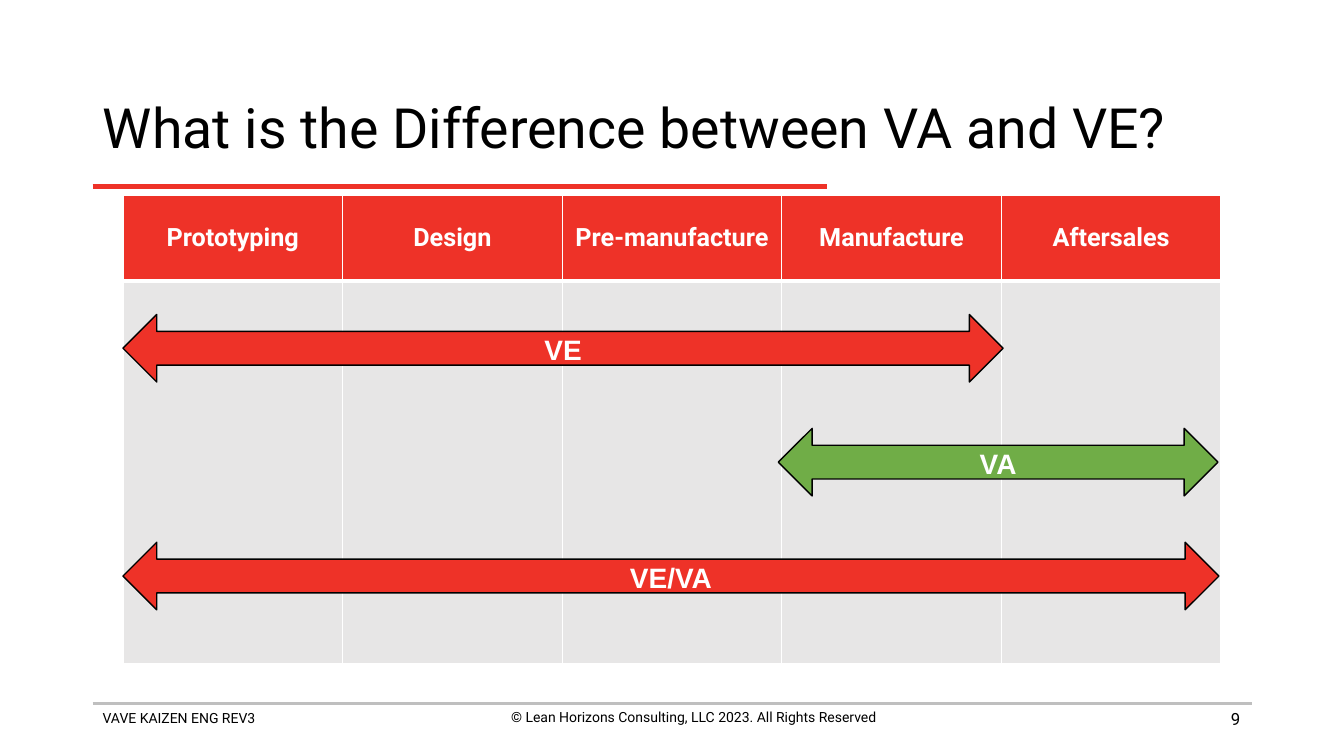
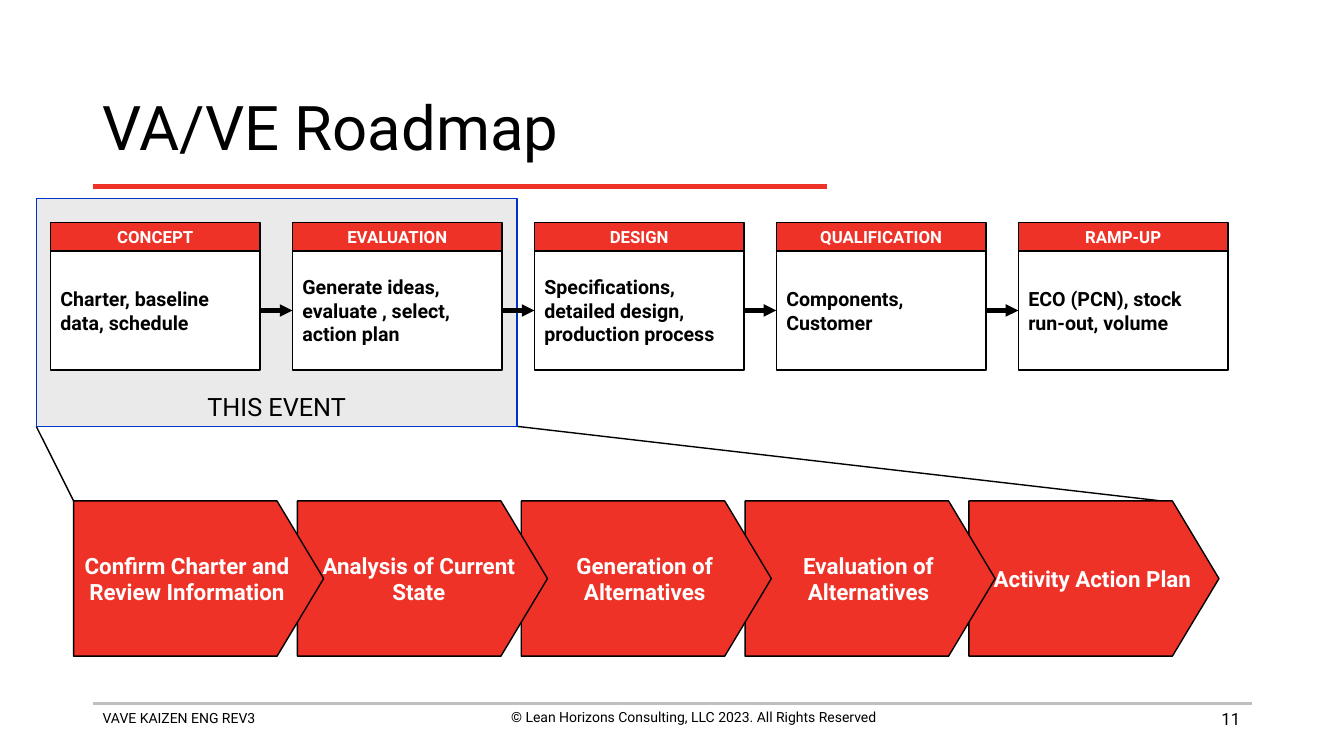
from dataclasses import dataclass
from typing import NamedTuple

from lxml import etree
from pptx import Presentation
from pptx.dml.color import RGBColor
from pptx.enum import shapes, text
from pptx.oxml import ns
from pptx.util import Inches, Pt

SHAPE = shapes.MSO_SHAPE
ALIGN = text.PP_ALIGN
ANCHOR = text.MSO_ANCHOR


@dataclass(frozen=True)
class Theme:
    red: str = "EE3228"
    green: str = "70AD47"
    blue: str = "0033CC"
    black: str = "000000"
    white: str = "FFFFFF"
    rule: str = "BFBFBF"
    panel: str = "EAEAEA"
    cell: str = "E7E6E6"
    font: str = "Roboto"
    arrow_font: str = "Arial"
    title: float = 44
    long_title: float = 39.6
    arrow: float = 20
    heading: float = 18
    step: float = 16
    body: float = 14
    small: float = 12
    footer: float = 10


T = Theme()


class Box(NamedTuple):
    left: float
    top: float
    width: float
    height: float

    def lengths(self) -> list:
        return [Inches(v) for v in self]


class Insets(NamedTuple):
    left: float = 0.1
    top: float = 0.05
    right: float = 0.1
    bottom: float = 0.05


class Style(NamedTuple):
    size: float
    color: str = T.black
    bold: bool = False
    align: ALIGN = ALIGN.LEFT
    anchor: ANCHOR = ANCHOR.MIDDLE
    font: str = T.font
    wrap: bool = True
    insets: Insets = Insets()
    spacing: float = 1.0


class Span(NamedTuple):
    label: str
    left: float
    top: float
    width: float
    color: str


class Phase(NamedTuple):
    name: str
    detail: str


class Step(NamedTuple):
    label: str
    insets: Insets


# Basic drawing
def rgb(color: str) -> RGBColor:
    return RGBColor.from_string(color)


def write(tf, words: str, style: Style) -> None:
    tf.text = words
    tf.word_wrap = style.wrap
    tf.auto_size = text.MSO_AUTO_SIZE.NONE
    tf.vertical_anchor = style.anchor
    (tf.margin_left, tf.margin_top,
     tf.margin_right, tf.margin_bottom) = [Inches(v) for v in style.insets]
    p = tf.paragraphs[0]
    p.alignment = style.align
    p.line_spacing = style.spacing
    font = p.runs[0].font
    font.name, font.size, font.bold = style.font, Pt(style.size), style.bold
    font.color.rgb = rgb(style.color)


def add_text(s, box: Box, words: str, style: Style) -> None:
    write(s.shapes.add_textbox(*box.lengths()).text_frame, words, style)


def add_block(s, kind: SHAPE, box: Box, fill: str, words: str, style: Style,
              line: str = T.black):
    sp = s.shapes.add_shape(kind, *box.lengths())
    sp.shadow.inherit = False
    sp.fill.solid()
    sp.fill.fore_color.rgb = rgb(fill)
    sp.line.color.rgb = rgb(line)
    sp.line.width = Pt(1)
    write(sp.text_frame, words, style)
    return sp


def add_line(s, start: tuple, end: tuple, color: str = T.black,
             width: float = 1, arrow: bool = False):
    line = s.shapes.add_connector(shapes.MSO_CONNECTOR.STRAIGHT,
                                  *[Inches(v) for v in (*start, *end)])
    line.line.color.rgb = rgb(color)
    line.line.width = Pt(width)
    spPr = line._element.spPr
    if arrow:
        etree.SubElement(spPr.find(ns.qn("a:ln")), ns.qn("a:tailEnd"),
                         type="triangle")
    etree.SubElement(spPr, ns.qn("a:effectLst"))
    return line


def set_borders(cell, **widths: float) -> None:
    tcPr = cell._tc.get_or_add_tcPr()
    for side in "LRTB":
        ln = etree.SubElement(tcPr, ns.qn(f"a:ln{side}"),
                              w=str(Pt(widths.get(side, 1))))
        fill = etree.SubElement(ln, ns.qn("a:solidFill"))
        etree.SubElement(fill, ns.qn("a:srgbClr"), val=T.white)


# Shared frame: title, rules and footer
def add_framed_slide(prs, title: str, size: float, number: int):
    s = prs.slides.add_slide(prs.slide_layouts[5])
    sp = s.shapes.title
    sp.left, sp.top, sp.width, sp.height = Box(0.92, 0.74, 11.5, 1.1).lengths()
    write(sp.text_frame, title, Style(size, spacing=0.9))
    add_line(s, (0.92, 1.85), (8.2, 1.85), T.red, 3)
    add_line(s, (0.92, 6.98), (12.42, 6.98), T.rule, 2)
    footer = Style(T.footer, anchor=ANCHOR.TOP)
    add_text(s, Box(0.92, 6.99, 4.56, 0.27), "VAVE KAIZEN ENG REV3", footer)
    add_text(s, Box(4.6, 6.98, 4.56, 0.44),
             "© Lean Horizons Consulting, LLC 2023. All Rights Reserved",
             footer._replace(align=ALIGN.CENTER))
    add_text(s, Box(9.4, 6.93, 3, 0.4), str(number),
             Style(T.small, align=ALIGN.RIGHT))
    return s


# Slide: difference between VA and VE
STAGES = ["Prototyping", "Design", "Pre-manufacture", "Manufacture",
          "Aftersales"]
SPANS = [
    Span("VE", 1.22, 3.12, 8.73, T.red),
    Span("VA", 7.72, 4.25, 4.36, T.green),
    Span("VE/VA", 1.22, 5.38, 10.87, T.red),
]


def add_stage_table(s) -> None:
    box = Box(1.22, 1.94, 10.89, 4.64)
    table = s.shapes.add_table(2, len(STAGES), *box.lengths()).table
    table.horz_banding = False
    for row, height in zip(table.rows, (0.85, 3.79)):
        row.height = Inches(height)
    heading = Style(T.heading, T.white, True, ALIGN.CENTER)
    for col, stage in enumerate(STAGES):
        table.columns[col].width = Inches(box.width / len(STAGES))
        head, body = table.cell(0, col), table.cell(1, col)
        set_borders(head, B=3)
        set_borders(body, T=3)
        for cell, color in ((head, T.red), (body, T.cell)):
            cell.fill.solid()
            cell.fill.fore_color.rgb = rgb(color)
        head.vertical_anchor = heading.anchor
        head.text_frame.text = stage
        p = head.text_frame.paragraphs[0]
        p.alignment = heading.align
        font = p.runs[0].font
        font.name, font.size, font.bold = heading.font, Pt(heading.size), True
        font.color.rgb = rgb(heading.color)


def build_difference(prs) -> None:
    s = add_framed_slide(prs, "What is the Difference between VA and VE?",
                         T.long_title, 9)
    add_stage_table(s)
    label = Style(T.arrow, T.white, True, ALIGN.CENTER, font=T.arrow_font,
                  wrap=False, insets=Insets(top=0.08, bottom=0), spacing=0.8)
    for span in SPANS:
        add_block(s, SHAPE.LEFT_RIGHT_ARROW,
                  Box(span.left, span.top, span.width, 0.67),
                  span.color, span.label, label)


# Slide: roadmap
PHASES = [
    Phase("CONCEPT", "Charter, baseline data, schedule"),
    Phase("EVALUATION", "Generate ideas, evaluate , select, action plan"),
    Phase("DESIGN", "Specifications, detailed design, production process"),
    Phase("QUALIFICATION", "Components, Customer"),
    Phase("RAMP-UP", "ECO (PCN), stock run-out, volume"),
]
INDENTED = Insets(left=0.2, right=0)
STEPS = [
    Step("Confirm Charter and Review Information", Insets()),
    Step("Analysis of Current State", Insets(left=0.16, right=0)),
    Step("Generation of Alternatives", INDENTED),
    Step("Evaluation of Alternatives", INDENTED),
    Step("Activity Action Plan", INDENTED),
]
EVENT = Box(0.36, 1.97, 4.77, 2.26)
PHASE_LEFT, PHASE_PITCH = 0.5, 2.4
STEP_LEFT, STEP_TOP, STEP_PITCH = 0.73, 4.97, 2.22


def add_phases(s) -> None:
    heading = Style(T.small, T.white, True, ALIGN.CENTER, wrap=False)
    detail = Style(T.body, bold=True)
    cards = []
    for i, phase in enumerate(PHASES):
        left = PHASE_LEFT + i * PHASE_PITCH
        cards.append(add_block(s, SHAPE.RECTANGLE, Box(left, 2.49, 2.08, 1.18),
                               T.white, phase.detail, detail))
        add_block(s, SHAPE.RECTANGLE, Box(left, 2.21, 2.08, 0.28),
                  T.red, phase.name, heading)
    for card, following in zip(cards, cards[1:]):
        link = add_line(s, (0, 0), (1, 0), width=3, arrow=True)
        link.begin_connect(card, 3)
        link.end_connect(following, 1)


def add_steps(s) -> None:
    # Drawn from the last to the first so each point overlaps the next step
    for i, step in reversed(list(enumerate(STEPS))):
        style = Style(T.step, T.white, True, ALIGN.CENTER, insets=step.insets)
        sp = add_block(s, SHAPE.PENTAGON,
                       Box(STEP_LEFT + i * STEP_PITCH, STEP_TOP, 2.48, 1.54),
                       T.red, step.label, style)
        sp.adjustments[0] = 0.3


def build_roadmap(prs) -> None:
    s = add_framed_slide(prs, "VA/VE Roadmap", T.title, 11)
    bottom = EVENT.top + EVENT.height
    add_line(s, (EVENT.left + EVENT.width, bottom), (11.52, STEP_TOP))
    add_line(s, (EVENT.left, bottom), (STEP_LEFT, STEP_TOP))
    add_block(s, SHAPE.RECTANGLE, EVENT, T.panel, "THIS EVENT",
              Style(T.heading, align=ALIGN.CENTER, anchor=ANCHOR.BOTTOM,
                    wrap=False), T.blue)
    add_phases(s)
    add_steps(s)


def main() -> None:
    prs = Presentation()
    prs.slide_width, prs.slide_height = Inches(13.33), Inches(7.5)
    build_difference(prs)
    build_roadmap(prs)
    prs.save("out.pptx")


if __name__ == "__main__":
    main()
